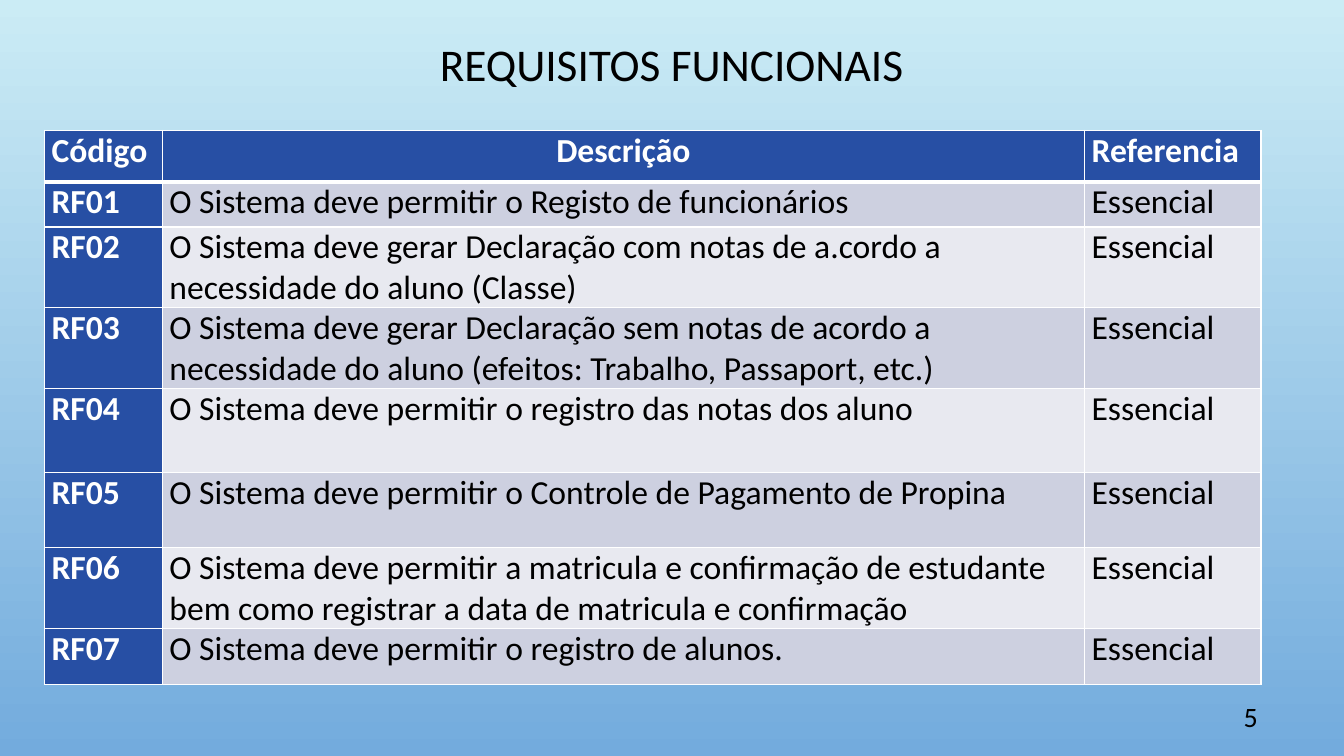
import pptx
import pptx.util
import pptx.dml.color
import pptx.enum.text
import pptx.oxml
import pptx.oxml.ns

Cm = pptx.util.Cm
Pt = pptx.util.Pt
RGBColor = pptx.dml.color.RGBColor
Align = pptx.enum.text.PP_ALIGN
Anchor = pptx.enum.text.MSO_ANCHOR

SKY = RGBColor(0xCB, 0xEC, 0xF5)
BLUE = RGBColor(0x73, 0xAB, 0xDD)
NAVY = RGBColor(0x27, 0x4F, 0xA4)
BAND_DARK = RGBColor(0xCD, 0xD0, 0xE0)
BAND_LIGHT = RGBColor(0xE8, 0xE9, 0xF0)
BLACK = RGBColor(0, 0, 0)
WHITE = RGBColor(0xFF, 0xFF, 0xFF)


def write_text(text_frame, text, size=24, color=BLACK, bold=False,
               align=Align.LEFT, line_spacing=1.0):
    text_frame.word_wrap = True
    paragraph = text_frame.paragraphs[0]
    paragraph.alignment = align
    paragraph.line_spacing = line_spacing
    run = paragraph.add_run()
    run.text = text
    run.font.name = "Calibri"
    run.font.size = Pt(size)
    run.font.bold = bold
    run.font.color.rgb = color


def set_borders(cell, top, bottom):
    properties = cell._tc.get_or_add_tcPr()
    widths = {"lnL": 1, "lnR": 1, "lnT": top, "lnB": bottom}
    for position, (tag, width) in enumerate(widths.items()):
        properties.insert(position, pptx.oxml.parse_xml(
            f'<a:{tag} {pptx.oxml.ns.nsdecls("a")} w="{Pt(width)}">'
            f'<a:solidFill><a:srgbClr val="{WHITE}"/></a:solidFill></a:{tag}>'))


presentation = pptx.Presentation()
presentation.slide_width = Cm(33.87)
presentation.slide_height = Cm(19.05)
slide = presentation.slides.add_slide(presentation.slide_layouts[6])

background = slide.background.fill
background.gradient()
background.gradient_angle = 270
for stop, color in zip(background.gradient_stops, (SKY, BLUE)):
    stop.color.rgb = color

title = slide.shapes.add_textbox(Cm(2.54), Cm(0.99), Cm(28.78), Cm(1.37))
title.text_frame.vertical_anchor = Anchor.MIDDLE
write_text(title.text_frame, "REQUISITOS FUNCIONAIS", size=32.4,
           align=Align.CENTER, line_spacing=0.9)

page_number = slide.shapes.add_textbox(Cm(29.82), Cm(17.53), Cm(2.13), Cm(1.02))
page_number.text_frame.vertical_anchor = Anchor.MIDDLE
write_text(page_number.text_frame, "5", size=20, align=Align.RIGHT)

descriptions = [
    "O Sistema deve permitir o Registo de funcionários",
    "O Sistema deve gerar Declaração com notas de a.cordo a necessidade do aluno (Classe)",
    "O Sistema deve gerar Declaração sem notas de acordo a necessidade do aluno "
    "(efeitos: Trabalho, Passaport, etc.)",
    "O Sistema deve permitir o registro das notas dos aluno",
    "O Sistema deve permitir o Controle de Pagamento de Propina",
    "O Sistema deve permitir a matricula e confirmação de estudante "
    "bem como registrar a data de matricula e confirmação",
    "O Sistema deve permitir o registro de alunos.",
]
rows = [("Código", "Descrição", "Referencia")]
for number, description in enumerate(descriptions, start=1):
    rows.append((f"RF{number:02}", description, "Essencial"))

column_widths = [2.97, 23.24, 4.45]
row_heights = [1.3, 1.14, 1.88, 1.88, 2.13, 1.88, 1.8, 1.42]
table = slide.shapes.add_table(
    len(rows), len(column_widths), Cm(1.12), Cm(3.28),
    Cm(sum(column_widths)), Cm(sum(row_heights))).table
for column, width in zip(table.columns, column_widths):
    column.width = Cm(width)
for row, height in zip(table.rows, row_heights):
    row.height = Cm(height)

for row_index, texts in enumerate(rows):
    is_header = row_index == 0
    band = BAND_DARK if row_index % 2 else BAND_LIGHT
    for column_index, text in enumerate(texts):
        cell = table.cell(row_index, column_index)
        is_heading = is_header or column_index == 0
        cell.margin_left = cell.margin_right = Cm(0.18)
        cell.margin_top = cell.margin_bottom = 0
        cell.fill.solid()
        cell.fill.fore_color.rgb = NAVY if is_heading else band
        set_borders(cell, top=3 if row_index == 1 else 1, bottom=3 if is_header else 1)
        write_text(cell.text_frame, text, bold=is_heading,
                   color=WHITE if is_heading else BLACK,
                   align=Align.CENTER if is_header and column_index == 1 else Align.LEFT)

presentation.save("out.pptx")
